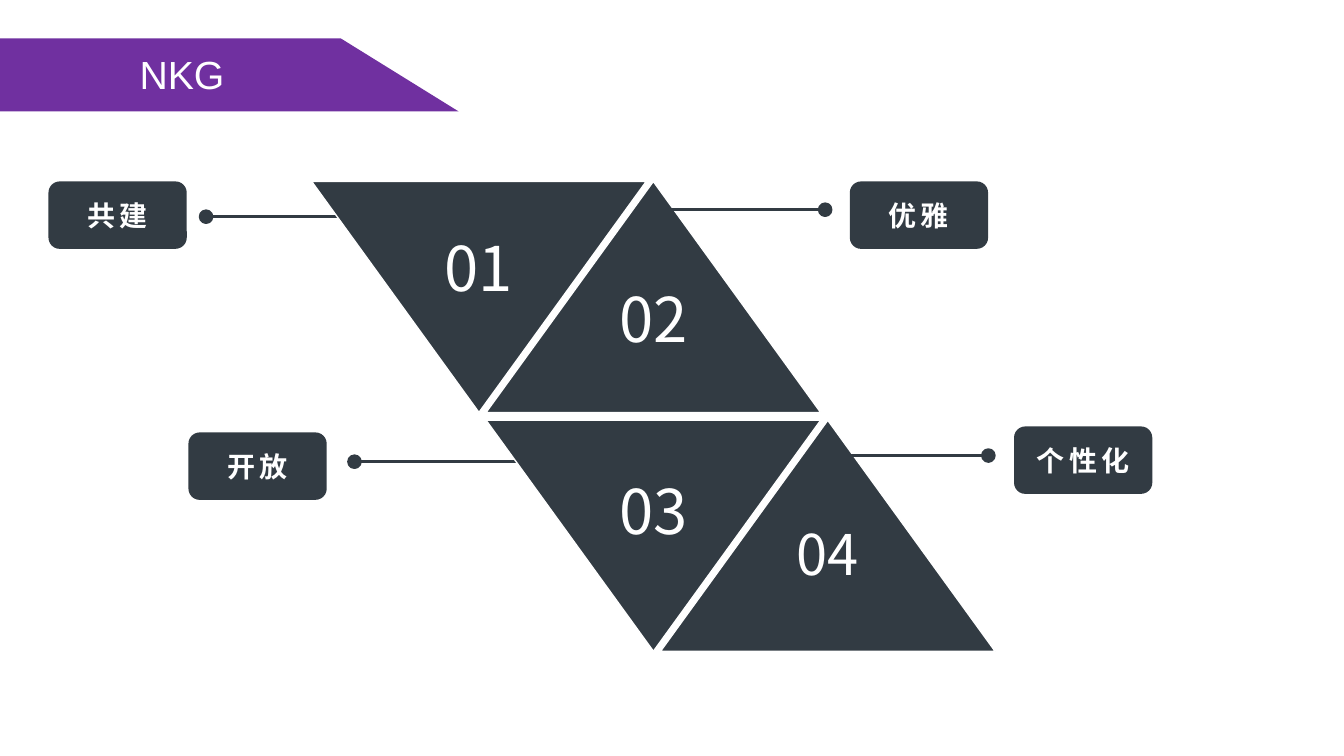
from pptx import Presentation
from pptx.dml.color import RGBColor
from pptx.enum.shapes import MSO_CONNECTOR, MSO_SHAPE
from pptx.enum.text import MSO_ANCHOR, PP_ALIGN
from pptx.oxml.ns import qn
from pptx.util import Pt
from lxml import etree

TRIANGLE, ROUNDED, OVAL = MSO_SHAPE.ISOSCELES_TRIANGLE, MSO_SHAPE.ROUNDED_RECTANGLE, MSO_SHAPE.OVAL
STRAIGHT = MSO_CONNECTOR.STRAIGHT
CENTER, TOP, MIDDLE = PP_ALIGN.CENTER, MSO_ANCHOR.TOP, MSO_ANCHOR.MIDDLE

TITLE = "NKG"
# number, size, offset in triangle, column, row, label, label left and top, dot centre
ITEMS = [
    ("01", 44, 31, 0, 0, "共建", (34.6, 129.6), (147.2, 154.8)),
    ("02", 44, 67.6, 1, 0, "优雅", (607, 129.6), (589.4, 149.8)),
    ("03", 44, 33.9, 1, 1, "开放", (134.6, 308.9), (253.2, 329.8)),
    ("04", 40, 67, 2, 1, "个性化", (724.3, 304.6), (706, 325.4)),
]

DARK, PURPLE, WHITE = "323B43", "7030A0", "FFFFFF"
NUMBER_FONT, LABEL_FONT = "Noto Sans CJK SC", "Arial"
GRID_LEFT, GRID_TOP, COLUMN_STEP, ROW_STEP = 222.6, 129.6, 124.6, 170.6
TRIANGLE_W, TRIANGLE_H = 239, 165
NUMBER_W, NUMBER_H = 66, 60
LABEL_W, LABEL_H = 98.8, 48.2
DOT, LEADER = 8.2, 126
BANNER = [(0, 27.4), (243.4, 27.4), (327.6, 79.6), (0, 79.6)]

prs = Presentation()
prs.slide_width, prs.slide_height = Pt(960), Pt(540)
shapes = prs.slides.add_slide(prs.slide_layouts[6]).shapes


def rgb(value):
    return RGBColor.from_string(value)


def paint(shape, fill, line=None, width=1):
    shape.shadow.inherit = False
    shape.fill.solid()
    shape.fill.fore_color.rgb = rgb(fill)
    if line:
        shape.line.color.rgb = rgb(line)
        shape.line.width = Pt(width)
    else:
        shape.line.fill.background()


def add_shape(kind, left, top, width, height, line=None, line_width=1):
    shape = shapes.add_shape(kind, Pt(left), Pt(top), Pt(width), Pt(height))
    paint(shape, DARK, line, line_width)
    return shape


def write(shape, text, size, font, anchor=MIDDLE, bold=False, wrap=True, spacing=0):
    """Put one centred white run in the shape; spacing is in points."""
    frame = shape.text_frame
    frame.word_wrap = wrap
    frame.vertical_anchor = anchor
    paragraph = frame.paragraphs[0]
    paragraph.alignment = CENTER
    run = paragraph.add_run()
    run.text = text
    run.font.size, run.font.name, run.font.bold = Pt(size), font, bold
    run.font.color.rgb = rgb(WHITE)
    properties = run.font._element
    if spacing:
        properties.set("spc", str(spacing * 100))
    east_asian = etree.SubElement(properties, qn("a:ea"))
    east_asian.set("typeface", NUMBER_FONT)


def add_leader(dot_x, dot_y, direction):
    """Draw a line from the dot towards its triangle, then the dot."""
    leader = shapes.add_connector(
        STRAIGHT, Pt(dot_x), Pt(dot_y), Pt(dot_x + direction * LEADER), Pt(dot_y))
    leader.line.color.rgb = rgb(DARK)
    leader.line.width = Pt(2.25)
    etree.SubElement(leader._element.spPr, qn("a:effectLst"))
    add_shape(OVAL, dot_x - DOT / 2, dot_y - DOT / 2, DOT, DOT, DARK, 2.25)


def add_item(number, size, offset, column, row, label, label_at, dot):
    left, top = GRID_LEFT + column * COLUMN_STEP, GRID_TOP + row * ROW_STEP
    points_down = column == row
    if points_down:
        add_leader(*dot, 1)
    triangle = add_shape(TRIANGLE, left, top, TRIANGLE_W, TRIANGLE_H, WHITE)
    if points_down:
        triangle.rotation = 180
    else:
        add_leader(*dot, -1)
    number_box = shapes.add_textbox(
        Pt(left + (TRIANGLE_W - NUMBER_W) / 2), Pt(top + offset), Pt(NUMBER_W), Pt(NUMBER_H))
    write(number_box, number, size, NUMBER_FONT, anchor=TOP, wrap=False)
    label_box = add_shape(ROUNDED, *label_at, LABEL_W, LABEL_H)
    write(label_box, label, 20, LABEL_FONT, bold=True, spacing=3)


for item in ITEMS:
    add_item(*item)

outline = shapes.build_freeform(Pt(BANNER[0][0]), Pt(BANNER[0][1]))
outline.add_line_segments([(Pt(x), Pt(y)) for x, y in BANNER[1:]], close=True)
paint(outline.convert_to_shape(), PURPLE)
title_box = shapes.add_textbox(Pt(5), Pt(32.4), Pt(250), Pt(41.2))
write(title_box, TITLE, 28, LABEL_FONT, anchor=TOP)

prs.save("out.pptx")
